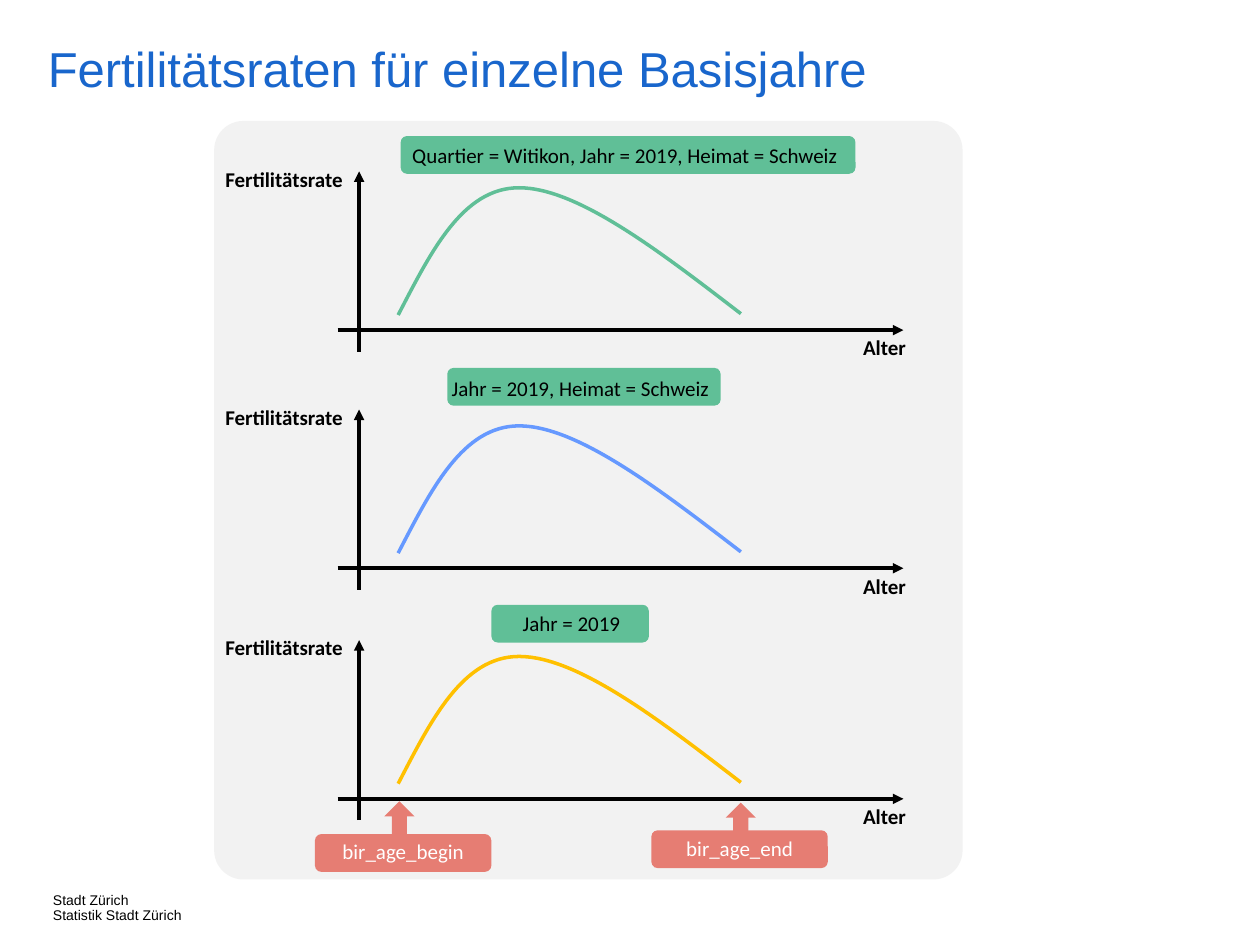
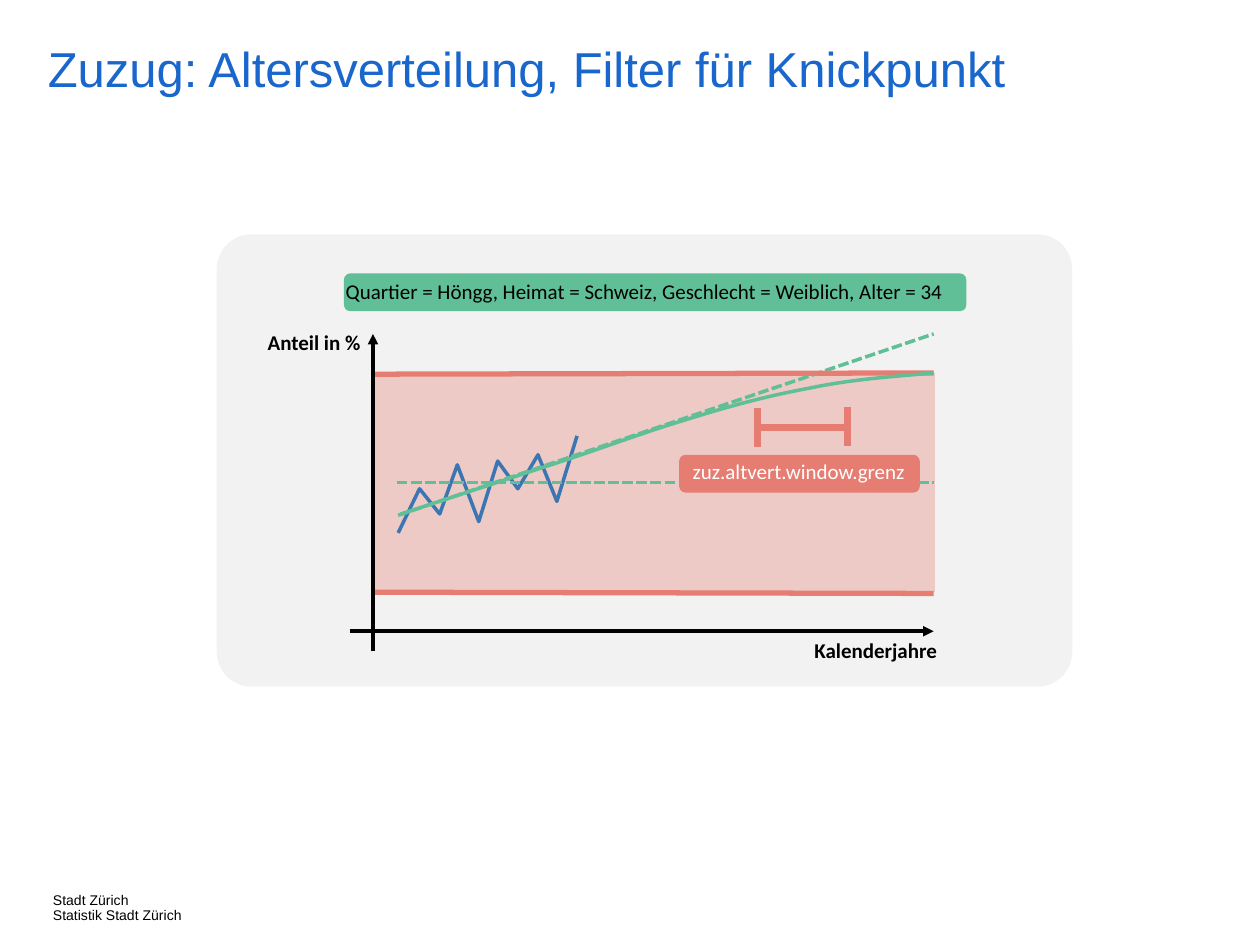
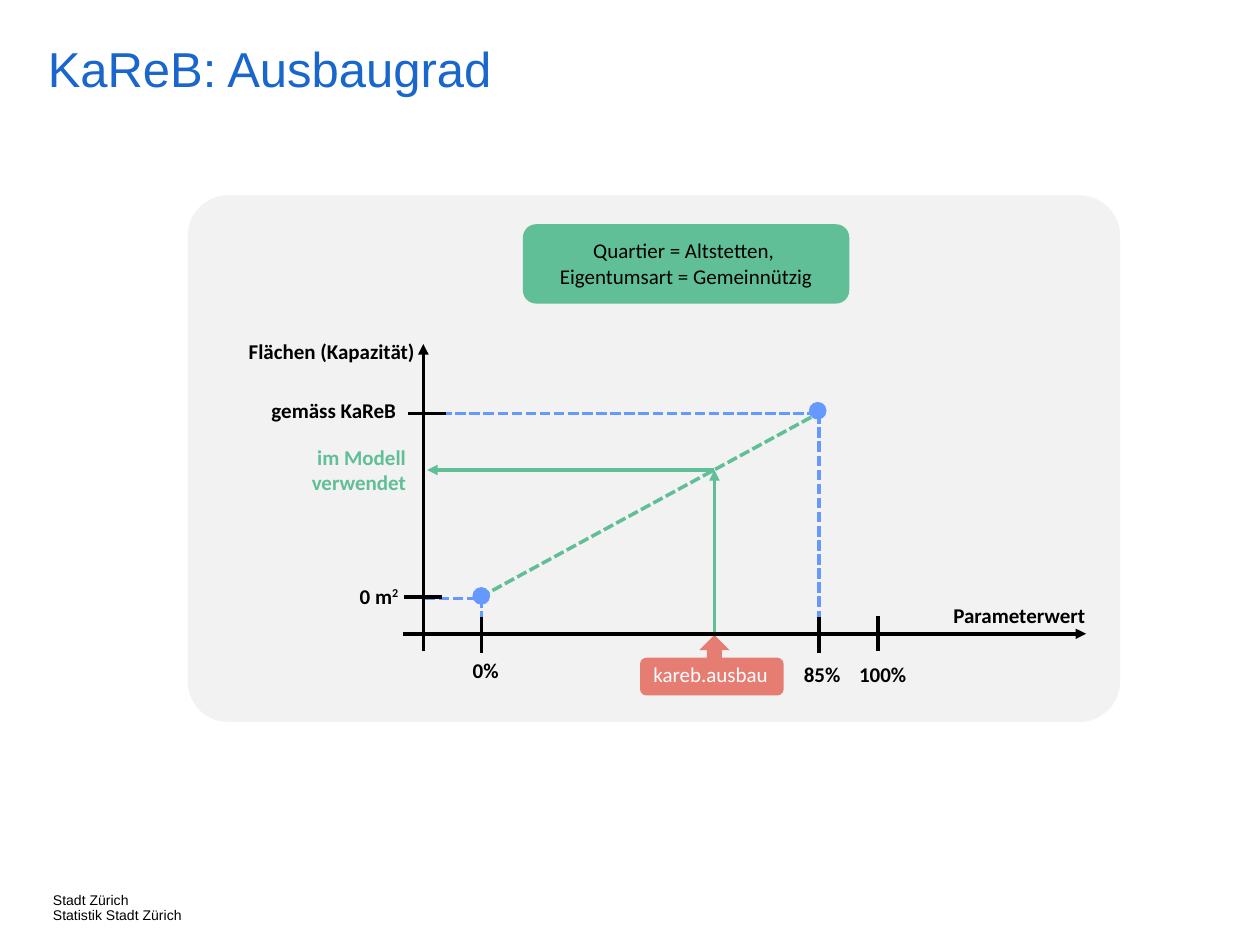
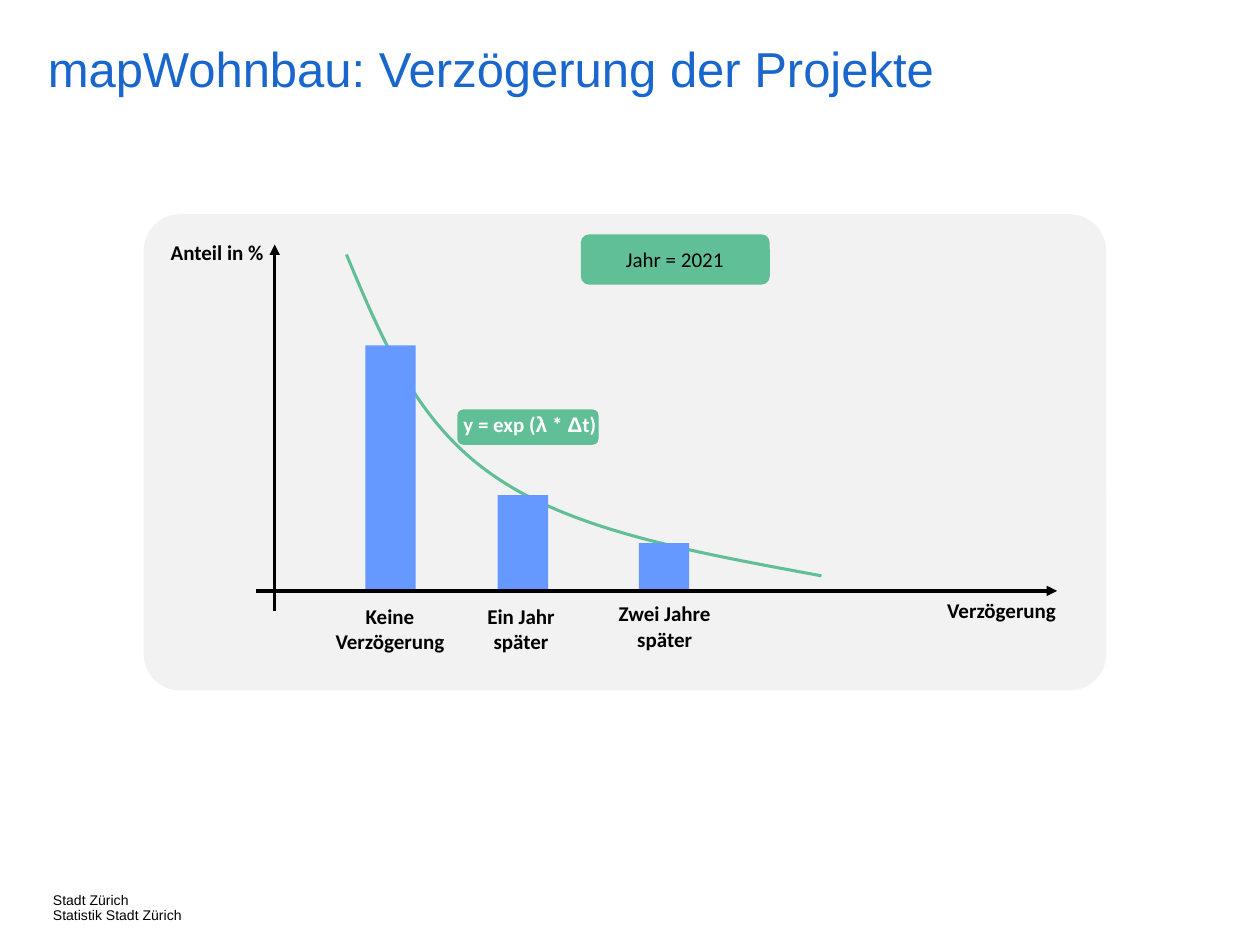
from pptx import Presentation
from pptx.dml.color import RGBColor
from pptx.enum import shapes, text
from pptx.oxml.ns import qn
from pptx.util import Inches, Pt
from lxml import etree

# ---- Shared style ----
COLORS = {
    "title": "1966CC", "black": "000000", "white": "FFFFFF", "panel": "F2F2F2",
    "green": "60BF97", "blue": "6699FF", "red": "E67D73", "yellow": "FFC000",
    "data": "3B76B3",
}
SHAPE = shapes.MSO_SHAPE
LEFT, CENTER, RIGHT = text.PP_ALIGN.LEFT, text.PP_ALIGN.CENTER, text.PP_ALIGN.RIGHT
LABEL_HEIGHT = 0.3
TALL_LABEL = 0.5
FOOTER = "Stadt Zürich\nStatistik Stadt Zürich"

# ---- Content: fertility curves ----
# x-axis height, curve colour, filter text, pill box, left, top and width of its label
FERTILITY_CHARTS = [
    (6.34, "yellow", "Jahr = 2019", (3.9, 4.8, 1.25, 0.3), (3.84, 4.8, 1.39)),
    (4.51, "blue", "Jahr = 2019, Heimat = Schweiz ", (3.55, 2.92, 2.17, 0.3),
     (3.48, 2.93, 2.29)),
    (2.62, "green", "Quartier = Witikon, Jahr = 2019, Heimat = Schweiz ",
     (3.18, 1.08, 3.61, 0.3), (3.16, 1.08, 3.6)),
]
# Points as x and height above the x-axis
FERTILITY_CURVE = [(3.16, 0.12), (3.42, 0.62), (3.67, 1.13), (4.12, 1.13),
                   (4.58, 1.13), (5.23, 0.63), (5.88, 0.13)]
# name, left and top of the pill, left and top of the arrow
AGE_LIMITS = [("bir_age_begin", 2.5, 6.62, 3.05, 6.36),
              ("bir_age_end", 5.17, 6.59, 5.76, 6.37)]

# ---- Content: age distribution of arrivals ----
OBSERVED = [(3.16, 4.23), (3.33, 3.88), (3.49, 4.08), (3.63, 3.69), (3.8, 4.14),
            (3.95, 3.66), (4.11, 3.88), (4.27, 3.61), (4.42, 3.98), (4.58, 3.46)]
FORECAST = [(3.18, 4.08), (4.34, 3.7), (4.72, 3.58), (5.11, 3.43), (5.45, 3.33),
            (5.8, 3.22), (6.1, 3.14), (6.43, 3.08), (6.76, 3.01), (7.08, 2.99),
            (7.41, 2.96)]
TRENDS = [((3.15, 3.83), (7.41, 3.83)), ((3.16, 4.09), (7.41, 2.65))]
BAND_EDGES = [((2.96, 4.7), (7.41, 4.71)), ((2.96, 2.97), (7.41, 2.96))]
WINDOW = [((6.02, 3.39), (6.73, 3.39)), ((6.01, 3.24), (6.01, 3.55)),
          ((6.73, 3.23), (6.73, 3.54))]

# ---- Content: degree of development ----
PERCENT_LABELS = [("85%", 6.1, 5.2), ("0%", 3.43, 5.17), ("100%", 6.58, 5.2)]
END_POINTS = [(3.75, 4.66), (6.42, 3.19)]
GUIDES = [((3.39, 3.28), (6.5, 3.28)), ((6.5, 3.28), (6.5, 5.02)),
          ((3.82, 4.74), (3.82, 5.02)), ((3.37, 4.75), (3.81, 4.75))]
TICKS = [((3.54, 3.28), (3.24, 3.28)), ((3.51, 4.74), (3.21, 4.74)),
         ((6.5, 4.9), (6.5, 5.18)), ((3.82, 4.9), (3.82, 5.18)),
         ((6.97, 4.89), (6.97, 5.17)), ((5.67, 4.9), (5.67, 5.17))]

# ---- Content: project delay ----
BAR_BASE, BAR_WIDTH = 4.69, 0.4
# label, label box, bar left, bar height
DELAYS = [("Keine Verzögerung", (2.52, 4.74, 1.15), 2.9, 1.95),
          ("Ein Jahr später", (3.63, 4.74, 1.01), 3.95, 0.76),
          ("Zwei Jahre später", (4.77, 4.72, 1.01), 5.07, 0.38)]
DECAY = [(2.75, 2.02), (3.03, 2.69), (3.31, 3.37), (3.94, 3.79),
         (4.57, 4.22), (5.55, 4.39), (6.52, 4.57)]
FORMULA = [("y = exp (", "Calibri"), ("λ", "Arial"), (" * ", "Calibri"),
           ("Δ", "Arial"), ("t)", "Calibri")]


# ---- Helpers ----
def rgb(name):
    return RGBColor.from_string(COLORS[name])


def style_span(span, size, color, font="Calibri", bold=False):
    span.font.size, span.font.name, span.font.bold = Pt(size), font, bold
    span.font.color.rgb = rgb(color)


def add_label(page, words, at, color="black", bold=True, align=CENTER,
              height=LABEL_HEIGHT):
    """Small Calibri label; words is a string or a list of (text, font)."""
    box = page.shapes.add_textbox(*map(Inches, (*at, height)))
    frame = box.text_frame
    frame.word_wrap = True
    frame.auto_size = text.MSO_AUTO_SIZE.SHAPE_TO_FIT_TEXT
    para = frame.paragraphs[0]
    para.alignment = align
    if isinstance(words, str):
        para.text = words
        for span in para.runs:
            style_span(span, 12, color, bold=bold)
    else:
        for words_part, font in words:
            span = para.add_run()
            span.text = words_part
            style_span(span, 12, color, font, bold)
    return para


def add_plain_text(page, words, at, size, color, wrap):
    box = page.shapes.add_textbox(*map(Inches, at))
    frame = box.text_frame
    frame.word_wrap = wrap
    frame.margin_left = frame.margin_right = 0
    frame.margin_top = frame.margin_bottom = 0
    frame.text = words
    for para in frame.paragraphs:
        para.alignment, para.line_spacing = LEFT, 0.9
        for span in para.runs:
            style_span(span, size, color, "Arial")


def add_filled(page, kind, at, color, corner=None, opacity=None):
    shape = page.shapes.add_shape(kind, *map(Inches, at))
    shape.shadow.inherit = False
    shape.fill.solid()
    shape.fill.fore_color.rgb = rgb(color)
    shape.line.fill.background()
    if corner is not None:
        shape.adjustments[0] = corner
    if opacity is not None:
        tone = shape._element.spPr.find(qn("a:solidFill")).find(qn("a:srgbClr"))
        etree.SubElement(tone, qn("a:alpha"), val=str(opacity * 1000))
    return shape


def add_pointer(page, left, top):
    """Red arrow pointing up at an axis."""
    arrow = add_filled(page, SHAPE.DOWN_ARROW, (left, top, 0.24, 0.28), "red")
    arrow._element.spPr.find(qn("a:xfrm")).set("flipV", "1")


def add_pill(page, words, at, label_at, fill="green", color="black", bold=False,
             height=LABEL_HEIGHT):
    add_filled(page, SHAPE.ROUNDED_RECTANGLE, at, fill)
    add_label(page, words, label_at, color, bold, height=height)


def add_parameter(page, words, at, label_at):
    add_pill(page, words, at, label_at, "red", "white")


def add_line(page, start, end, color="black", width=2, dashed=False, arrow=False):
    line = page.shapes.add_connector(
        shapes.MSO_CONNECTOR.STRAIGHT, *map(Inches, (*start, *end)))
    line.line.color.rgb = rgb(color)
    line.line.width = Pt(width)
    outline = line.line._get_or_add_ln()
    if dashed:
        etree.SubElement(outline, qn("a:prstDash"), val="sysDash")
    if arrow:
        etree.SubElement(outline, qn("a:tailEnd"), type="triangle")
    etree.SubElement(line._element.spPr, qn("a:effectLst"))


def add_outline(page, points, color, width=2):
    corners = [(Inches(x), Inches(y)) for x, y in points]
    builder = page.shapes.build_freeform(*corners[0])
    builder.add_line_segments(corners[1:], close=False)
    outline = builder.convert_to_shape()
    outline.shadow.inherit = False
    outline.fill.background()
    outline.line.color.rgb = rgb(color)
    outline.line.width = Pt(width)
    return outline


def add_curve(page, points, color, width=2, straight=0):
    """Joined cubic curves, after a number of straight segments."""
    outline = add_outline(page, points, color, width)
    track = next(outline._element.iter(qn("a:path")))
    segments = track.findall(qn("a:lnTo"))[straight:]
    for first in range(0, len(segments), 3):
        cubic = etree.SubElement(track, qn("a:cubicBezTo"))
        for segment in segments[first:first + 3]:
            cubic.append(segment[0])
            track.remove(segment)


def add_page(deck, title, panel, corner=0.077, title_width=8.4):
    page = deck.slides.add_slide(deck.slide_layouts[6])
    add_plain_text(page, FOOTER, (0.42, 7.09, 1.31, 0.2), 8, "black", False)
    add_plain_text(page, title, (0.38, 0.36, title_width, 0.64), 28, "title", True)
    add_filled(page, SHAPE.ROUNDED_RECTANGLE, panel, "panel", corner)
    return page


# ---- Slides ----
def fertility_page(deck):
    page = add_page(deck, "Fertilitätsraten für einzelne Basisjahre",
                    (1.7, 0.96, 5.94, 6.02), 0.039, 9.62)
    for axis, color, words, pill, label in FERTILITY_CHARTS:
        add_line(page, (2.68, axis), (7.17, axis), arrow=True)
        add_label(page, "Alter", (6.4, axis - 0.01, 1.24))
        add_line(page, (2.85, axis + 0.17), (2.85, axis - 1.26), arrow=True)
        add_label(page, "Fertilitätsrate", (1.58, axis - 1.35, 1.24), align=RIGHT)
        curve = [(x, axis - rise) for x, rise in FERTILITY_CURVE]
        add_curve(page, curve, color)
        add_pill(page, words, pill, label)
    for name, left, top, arrow_left, arrow_top in AGE_LIMITS:
        add_pointer(page, arrow_left, arrow_top)
        add_parameter(page, name, (left, top, 1.4, 0.3),
                      (left + 0.01, top - 0.01, 1.38))


def arrivals_page(deck):
    page = add_page(deck, "Zuzug: Altersverteilung, Filter für Knickpunkt",
                    (1.72, 1.86, 6.79, 3.59))
    add_filled(page, SHAPE.RECTANGLE, (2.96, 2.96, 4.46, 1.74), "red", opacity=34)
    add_line(page, (2.78, 5.01), (7.41, 5.01), arrow=True)
    add_label(page, "Kalenderjahre", (6.33, 5.01, 1.24))
    add_label(page, "Anteil in %", (1.72, 2.57, 1.24), align=RIGHT)
    add_outline(page, OBSERVED, "data")
    for start, end in TRENDS:
        add_line(page, start, end, "green", dashed=True)
    for start, end in BAND_EDGES:
        add_line(page, start, end, "red", 3)
    add_line(page, (2.96, 5.17), (2.96, 2.65), arrow=True)
    for start, end in WINDOW:
        add_line(page, start, end, "red", 4)
    add_curve(page, FORECAST, "green", straight=1)
    add_parameter(page, "zuz.altvert.window.grenz", (5.39, 3.61, 1.91, 0.3),
                  (5.39, 3.59, 1.9))
    add_pill(page, "Quartier = Höngg, Heimat = Schweiz, Geschlecht = Weiblich, Alter = 34",
             (2.73, 2.17, 4.94, 0.3), (2.6, 2.16, 5.03))


def development_page(deck):
    page = add_page(deck, "KaReB: Ausbaugrad", (1.49, 1.55, 7.4, 4.18))
    add_label(page, "Parameterwert", (7.3, 4.73, 1.58))
    add_line(page, (3.36, 5.17), (3.36, 2.73), arrow=True)
    add_label(page, "Flächen (Kapazität)", (1.67, 2.64, 1.72), align=RIGHT)
    add_pill(page, "Quartier = Altstetten, \nEigentumsart = Gemeinnützig",
             (4.15, 1.78, 2.59, 0.63), (4.15, 1.84, 2.59), height=TALL_LABEL)
    for words, left, top in PERCENT_LABELS:
        add_label(page, words, (left, top, 0.85))
    add_line(page, (3.81, 4.74), (6.44, 3.31), "green", dashed=True)
    for left, top in END_POINTS:
        add_filled(page, SHAPE.OVAL, (left, top, 0.14, 0.14), "blue")
    for start, end in GUIDES:
        add_line(page, start, end, "blue", dashed=True)
    for start, end in TICKS:
        add_line(page, start, end)
    add_label(page, "gemäss KaReB ", (1.57, 3.11, 1.71), align=RIGHT)
    area = add_label(page, [("0 m", "Calibri"), ("2", "Calibri")],
                     (2.53, 4.58, 0.73), align=RIGHT)
    area.runs[1].font._element.set("baseline", "30000")
    # Reading from the parameter to the area used
    add_line(page, (5.67, 5.04), (5.67, 3.73), "green", arrow=True)
    add_pointer(page, 5.55, 5.04)
    add_parameter(page, "kareb.ausbau", (5.08, 5.22, 1.14, 0.3), (4.99, 5.2, 1.3))
    add_line(page, (3.2, 5.03), (8.62, 5.03), arrow=True)
    add_label(page, "im Modell verwendet", (2.34, 3.48, 0.98), "green",
              align=RIGHT, height=TALL_LABEL)
    add_line(page, (5.67, 3.73), (3.39, 3.73), "green", arrow=True)


def delay_page(deck):
    page = add_page(deck, "mapWohnbau: Verzögerung der Projekte",
                    (1.14, 1.7, 7.64, 3.78))
    add_line(page, (2.18, 4.85), (2.18, 1.94), arrow=True)
    add_label(page, "Anteil in %", (1.14, 1.85, 1.05), align=RIGHT)
    add_label(page, "Verzögerung", (7.3, 4.69, 1.18), align=RIGHT)
    add_curve(page, DECAY, "green", 1.75)
    add_pill(page, FORMULA, (3.63, 3.25, 1.12, 0.28), (3.5, 3.22, 1.41),
             color="white", bold=True)
    for words, label, left, height in DELAYS:
        add_filled(page, SHAPE.RECTANGLE,
                   (left, BAR_BASE - height, BAR_WIDTH, height), "blue")
        add_label(page, words, label, height=TALL_LABEL)
    add_line(page, (2.03, BAR_BASE), (8.39, BAR_BASE), arrow=True)
    add_pill(page, "Jahr = 2021", (4.61, 1.86, 1.5, 0.4), (4.65, 1.91, 1.41))


def main():
    deck = Presentation()
    deck.slide_width, deck.slide_height = Inches(10), Inches(7.5)
    for build in (fertility_page, arrivals_page, development_page, delay_page):
        build(deck)
    deck.save("out.pptx")


if __name__ == "__main__":
    main()
